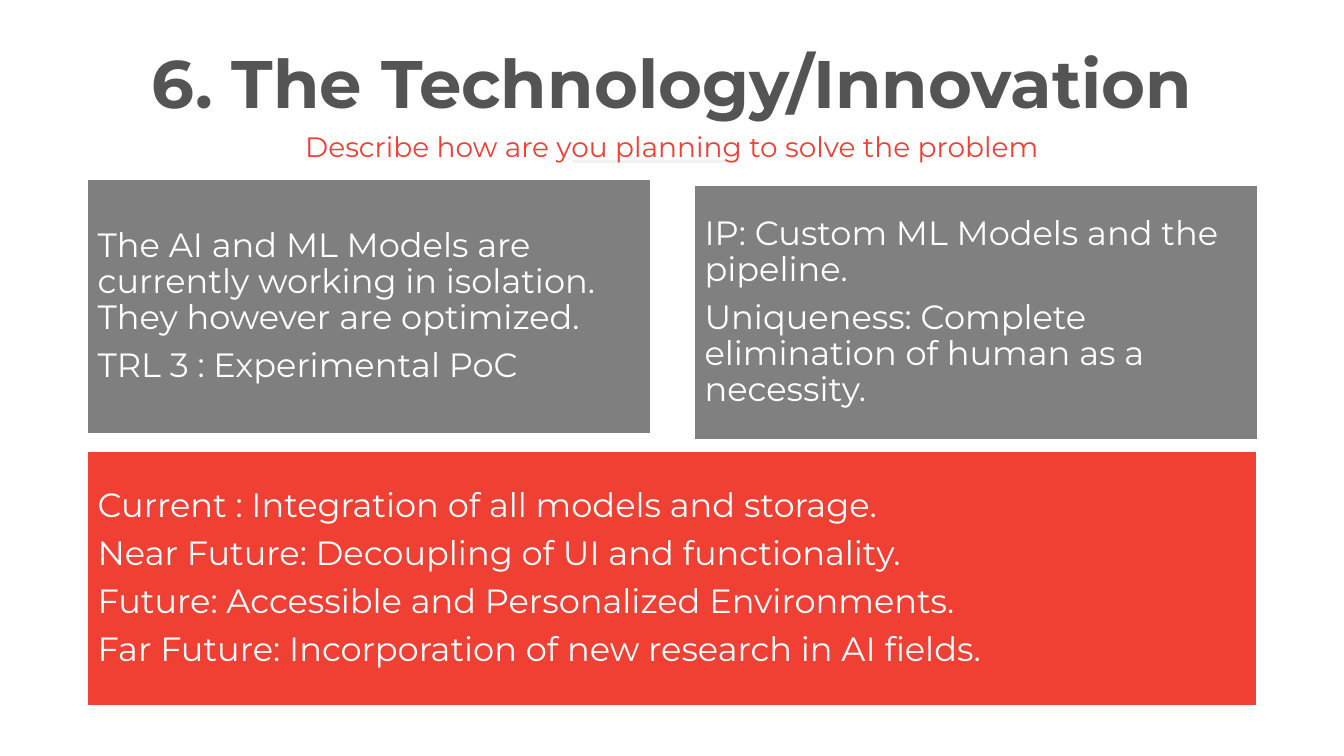
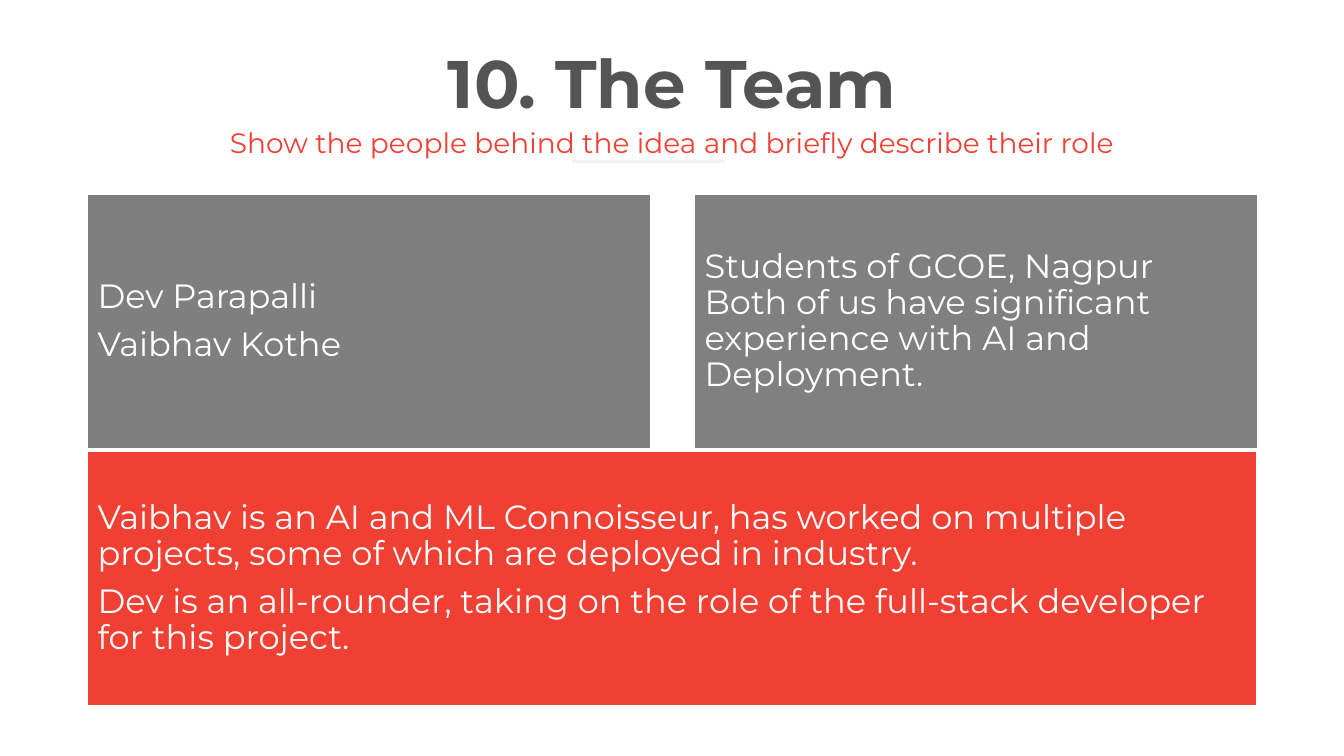
from pptx import Presentation
from pptx.dml.color import RGBColor
from pptx.enum.shapes import MSO_CONNECTOR, MSO_SHAPE
from pptx.enum.text import MSO_ANCHOR, PP_ALIGN
from pptx.oxml.ns import qn
from pptx.util import Inches, Pt
from lxml.etree import SubElement

FONT = "Montserrat"
HUES = {"title": "545454", "accent": "F04034", "left": "7F7F7F",
        "right": "808080", "rule": "F2F2F2", "white": "FFFFFF"}
WIDE, HIGH = 13.33, 7.5
EDGE, CARD, TALL = 0.87, 5.58, 2.52
RIGHT, BAND, FOOT = 6.89, 11.59, 4.48

SLIDES = [
    {"title": "6. The Technology/Innovation",
     "hint": "Describe how are you planning to solve the problem",
     "hint_top": 1.24,
     "tops": (1.78, 1.84),
     "left": ["The AI and ML Models are currently working in isolation. "
              "They however are optimized.",
              "TRL 3 : Experimental PoC"],
     "right": ["IP: Custom ML Models and the pipeline.",
               "Uniqueness: Complete elimination of human as a necessity."],
     "band": ["Current : Integration of all models and storage.",
              "Near Future: Decoupling of UI and functionality.",
              "Future: Accessible and Personalized Environments.",
              "Far Future: Incorporation of new research in AI fields."]},
    {"title": "10. The Team",
     "hint": "Show the people behind the idea and briefly describe their role",
     "hint_top": 1.2,
     "tops": (1.93, 1.93),
     "left": ["Dev Parapalli", "Vaibhav Kothe"],
     "right": ["Students of GCOE, Nagpur\vBoth of us have significant "
               "experience with AI and Deployment."],
     "band": ["Vaibhav is an AI and ML Connoisseur, has worked on multiple "
              "projects, some of which are deployed in industry.",
              "Dev is an all-rounder, taking on the role of the full-stack "
              "developer for this project."]},
]


def hue(name):
    return RGBColor.from_string(HUES[name])


def write(shape, lines, size, color, bold=False, align=PP_ALIGN.LEFT,
          anchor=MSO_ANCHOR.TOP, pitch=1.0, after=0):
    frame = shape.text_frame
    frame.word_wrap = True
    frame.vertical_anchor = anchor
    for i, line in enumerate(lines):
        para = frame.add_paragraph() if i else frame.paragraphs[0]
        para.text = line
        para.alignment = align
        para.line_spacing = pitch
        para.space_after = Pt(after)
        for run in para.runs:
            run.font.name = FONT
            run.font.size = Pt(size)
            run.font.bold = bold
            run.font.color.rgb = hue(color)


def label(slide, box, text, **style):
    shape = slide.shapes.add_textbox(*map(Inches, box))
    write(shape, [text], align=PP_ALIGN.CENTER, **style)


def panel(slide, box, lines, fill):
    shape = slide.shapes.add_shape(MSO_SHAPE.RECTANGLE, *map(Inches, box))
    shape.shadow.inherit = False
    shape.fill.solid()
    shape.fill.fore_color.rgb = hue(fill)
    shape.line.color.rgb = hue("white")
    shape.line.width = Pt(1)
    frame = shape.text_frame
    frame.margin_top = frame.margin_bottom = Inches(0.1)
    write(shape, lines, 24, "white", anchor=MSO_ANCHOR.MIDDLE,
          pitch=0.9, after=8.4)


def rule(slide, left, top, width):
    line = slide.shapes.add_connector(
        MSO_CONNECTOR.STRAIGHT, *map(Inches, (left, top, left + width, top)))
    line.line.color.rgb = hue("rule")
    line.line.width = Pt(2)
    SubElement(line._element.spPr, qn("a:effectLst"))


def header(slide, data):
    rule(slide, 5.67, 1.6, 1.52)
    label(slide, (0.82, 0.52, 11.69, 0.75), data["title"],
          size=48, color="title", bold=True, pitch=0.8)
    label(slide, (1.87, data["hint_top"], 9.59, 0.44), data["hint"],
          size=20, color="accent")


def build(deck, data):
    slide = deck.slides.add_slide(deck.slide_layouts[6])
    header(slide, data)
    for side, left, top in zip(("left", "right"), (EDGE, RIGHT), data["tops"]):
        panel(slide, (left, top, CARD, TALL), data[side], side)
    panel(slide, (EDGE, FOOT, BAND, TALL), data["band"], "accent")


def main():
    deck = Presentation()
    deck.slide_width, deck.slide_height = Inches(WIDE), Inches(HIGH)
    for data in SLIDES:
        build(deck, data)
    deck.save("out.pptx")


if __name__ == "__main__":
    main()
